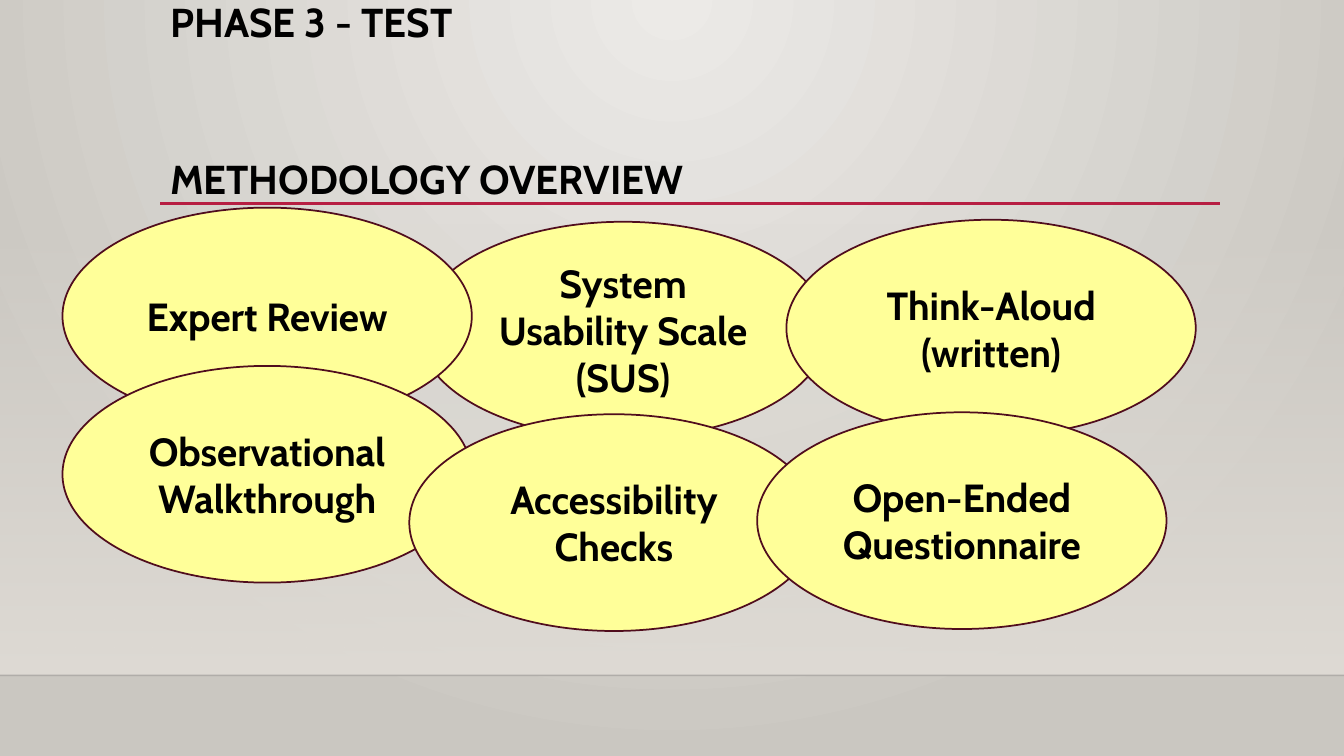
from dataclasses import dataclass

from lxml.etree import SubElement
from pptx import Presentation
from pptx.dml.color import RGBColor
from pptx.dml.fill import FillFormat
from pptx.enum.shapes import MSO_CONNECTOR as Connector, MSO_SHAPE as Preset
from pptx.enum.text import MSO_ANCHOR as Anchor, PP_ALIGN as Align
from pptx.oxml.ns import qn
from pptx.shapes.base import BaseShape
from pptx.slide import Slide
from pptx.text.text import TextFrame
from pptx.util import Inches, Pt

COLORS = {
    "backdrop_light": "ECEAE7",
    "backdrop_dark": "CAC7C1",
    "wall": "DFDBD5",
    "floor_edge": "000001",
    "rule": "B71E42",
    "method": "FFFF99",
    "method_outline": "500D1D",
    "text": "000000",
}
SLIDE_WIDTH, SLIDE_HEIGHT = 13.33, 7.5
FLOOR_TOP = 6.7
WALL_TOP = 2.21
HEADING_LEFT, HEADING_WIDTH, HEADING_HEIGHT = 1.59, 10.5, 0.49
METHOD_WIDTH, METHOD_HEIGHT = 4.06, 2.15


@dataclass(frozen=True)
class Method:
    name: str
    left: float
    top: float


@dataclass(frozen=True)
class Rule:
    left: float
    right: float
    top: float
    color: str
    weight: float
    opacity: int = 100


METHODS = [
    Method("System Usability Scale (SUS)", 4.15, 2.2),
    Method("Expert Review", 0.62, 2.06),
    Method("Observational Walkthrough", 0.62, 3.63),
    Method("Think-Aloud (written)", 7.8, 2.18),
    Method("Accessibility Checks", 4.06, 4.11),
    Method("Open-Ended Questionnaire", 7.51, 4.09),
]
RULES = [
    Rule(0, SLIDE_WIDTH, FLOOR_TOP, "floor_edge", 1, opacity=20),
    Rule(HEADING_LEFT, 12.1, 2.02, "rule", 2.5),
]


def rgb(name: str) -> RGBColor:
    return RGBColor.from_string(COLORS[name])


def set_opacity(color_element, percent: int) -> None:
    SubElement(color_element, qn("a:alpha"), val=str(percent * 1000))


def set_gradient(fill: FillFormat, start: str, end: str) -> None:
    """Fill with a two-stop gradient running from top to bottom."""
    fill.gradient()
    fill.gradient_angle = 270
    for stop, name in zip(fill.gradient_stops, (start, end)):
        stop.color.rgb = rgb(name)


def paint_background(slide: Slide) -> None:
    """Spread the backdrop gradient in circles from the top centre."""
    set_gradient(slide.background.fill, "backdrop_light", "backdrop_dark")
    gradient = next(slide.element.iter(qn("a:gradFill")))
    gradient.remove(gradient.find(qn("a:lin")))
    circle = SubElement(gradient, qn("a:path"), path="circle")
    SubElement(circle, qn("a:fillToRect"), l="43000", t="0", r="43000", b="100000")


def add_wall(slide: Slide) -> None:
    wall = slide.shapes.add_shape(
        Preset.RECTANGLE, 0, Inches(WALL_TOP),
        Inches(SLIDE_WIDTH), Inches(FLOOR_TOP - WALL_TOP),
    )
    wall.shadow.inherit = False
    wall.line.fill.background()
    set_gradient(wall.fill, "wall", "wall")
    set_opacity(next(wall.fill._xPr.iter(qn("a:srgbClr"))), 0)


def add_rule(slide: Slide, rule: Rule) -> None:
    connector = slide.shapes.add_connector(
        Connector.STRAIGHT, Inches(rule.left), Inches(rule.top),
        Inches(rule.right), Inches(rule.top),
    )
    connector.line.color.rgb = rgb(rule.color)
    connector.line.width = Pt(rule.weight)
    properties = connector._element.spPr
    if rule.opacity < 100:
        set_opacity(next(properties.iter(qn("a:srgbClr"))), rule.opacity)
    SubElement(properties, qn("a:effectLst"))


def write_text(frame: TextFrame, text: str, size: float, align: Align,
               line_spacing: float = 1.0) -> None:
    frame.word_wrap = True
    frame.vertical_anchor = Anchor.MIDDLE
    paragraph = frame.paragraphs[0]
    paragraph.alignment = align
    paragraph.line_spacing = line_spacing
    run = paragraph.add_run()
    run.text = text
    font_values = {"name": "Cabin", "size": Pt(size), "bold": True}
    for attribute, value in font_values.items():
        setattr(run.font, attribute, value)
    run.font.color.rgb = rgb("text")


def write_heading(shape: BaseShape, text: str, top: float, line_spacing: float) -> None:
    place = {"left": HEADING_LEFT, "top": top,
             "width": HEADING_WIDTH, "height": HEADING_HEIGHT}
    for attribute, value in place.items():
        setattr(shape, attribute, Inches(value))
    write_text(shape.text_frame, text, 28.8, Align.LEFT, line_spacing)


def add_method(slide: Slide, method: Method) -> None:
    ellipse = slide.shapes.add_shape(
        Preset.OVAL, Inches(method.left), Inches(method.top),
        Inches(METHOD_WIDTH), Inches(METHOD_HEIGHT),
    )
    ellipse.shadow.inherit = False
    ellipse.fill.solid()
    ellipse.fill.fore_color.rgb = rgb("method")
    ellipse.line.color.rgb = rgb("method_outline")
    ellipse.line.width = Pt(1.25)
    write_text(ellipse.text_frame, method.name, 28, Align.CENTER)


def main() -> None:
    presentation = Presentation()
    presentation.slide_width = Inches(SLIDE_WIDTH)
    presentation.slide_height = Inches(SLIDE_HEIGHT)
    title_only = presentation.slide_layouts.get_by_name("Title Only")
    slide = presentation.slides.add_slide(title_only)

    paint_background(slide)
    add_wall(slide)
    for rule in RULES:
        add_rule(slide, rule)
    write_heading(slide.shapes.title, "PHASE 3 - TEST", 0, 0.9)
    subtitle = slide.shapes.add_textbox(0, 0, 0, 0)
    write_heading(subtitle, "METHODOLOGY OVERVIEW", 1.57, 0.8)
    for method in METHODS:
        add_method(slide, method)

    presentation.save("out.pptx")


if __name__ == "__main__":
    main()
